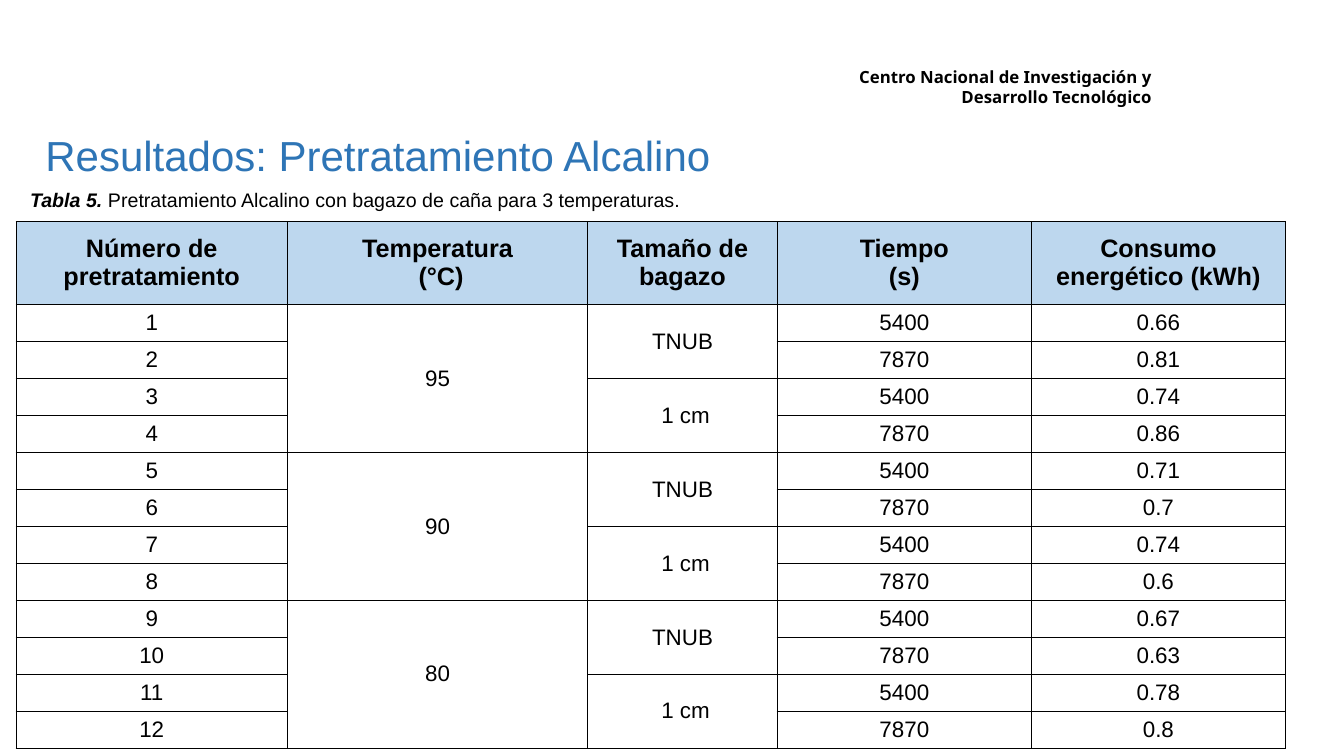
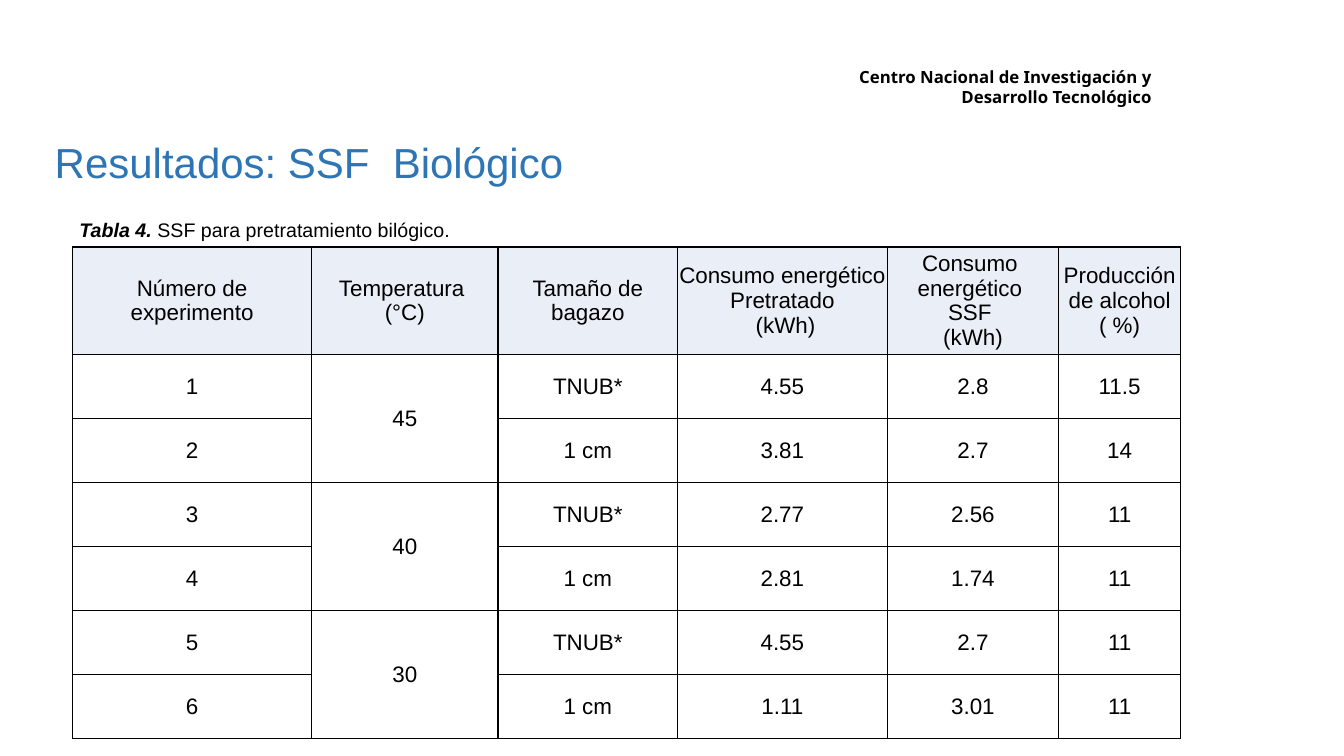
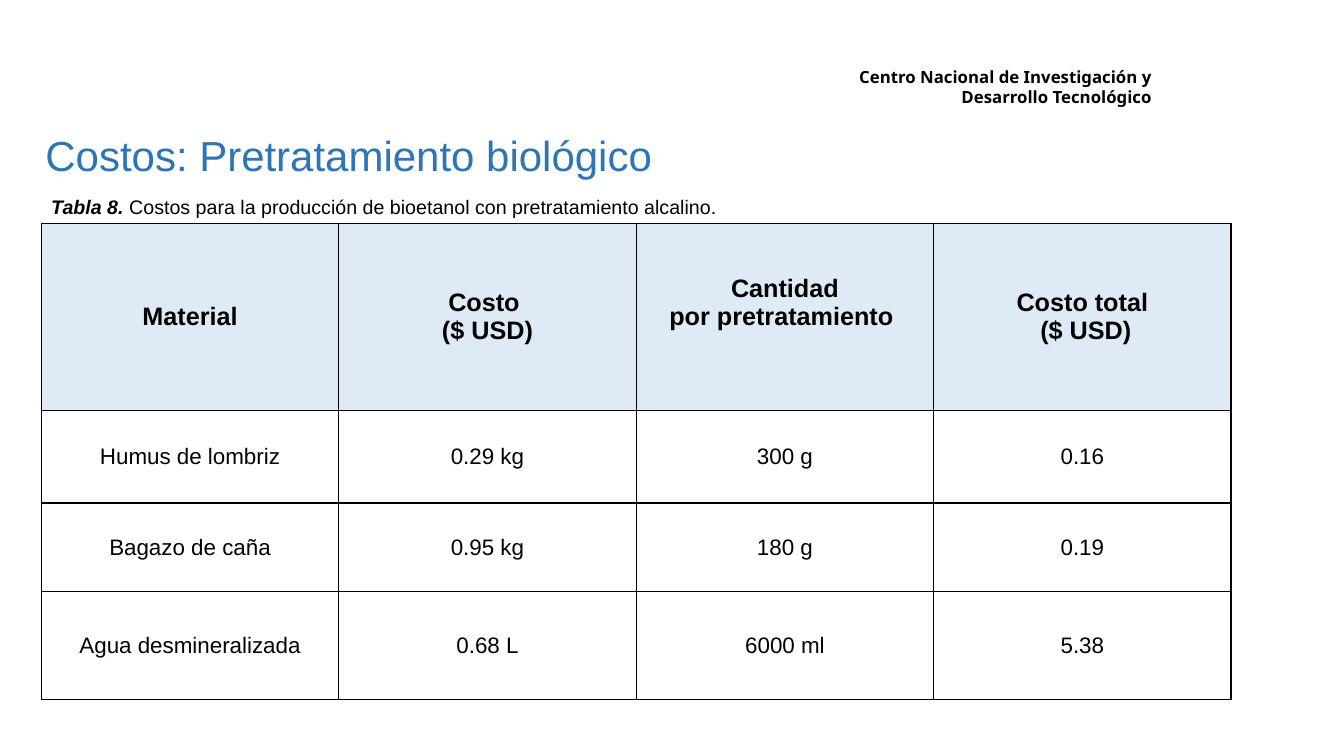
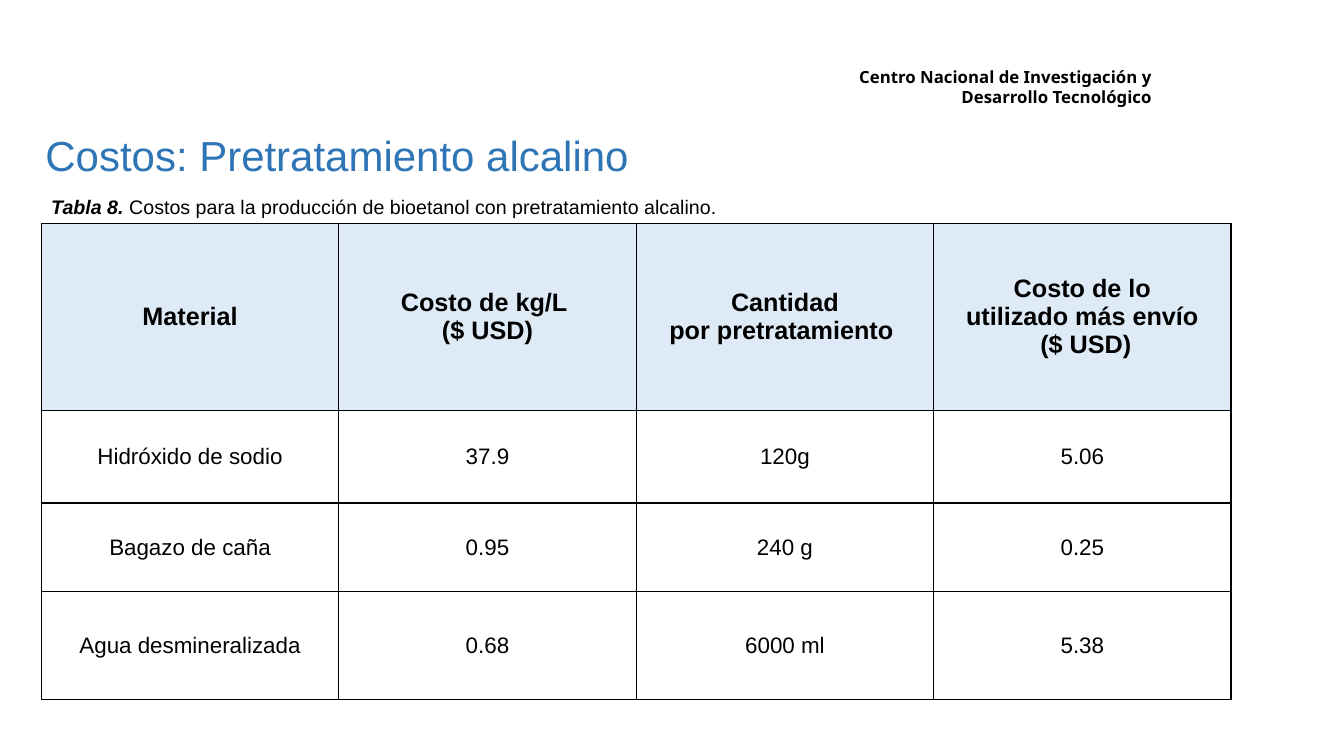
"""Builds four slides of pretreatment results and costs tables."""
from dataclasses import dataclass
from typing import Optional

import lxml.etree
import pptx
import pptx.dml.color
import pptx.enum.text
import pptx.oxml.ns
import pptx.slide
import pptx.table
import pptx.text.text
import pptx.util

Inches = pptx.util.Inches
Pt = pptx.util.Pt
RGBColor = pptx.dml.color.RGBColor
Align = pptx.enum.text.PP_ALIGN
Anchor = pptx.enum.text.MSO_ANCHOR

BLACK = RGBColor(0x00, 0x00, 0x00)
WHITE = RGBColor(0xFF, 0xFF, 0xFF)
TITLE_BLUE = RGBColor(0x2E, 0x75, 0xB6)
SKY_BLUE = RGBColor(0xBD, 0xD7, 0xEE)
MIST_BLUE = RGBColor(0xEA, 0xEF, 0xF7)
PALE_BLUE = RGBColor(0xDE, 0xEB, 0xF7)

BODY_FONT = "Arial"
INSTITUTE_FONT = "Noto Sans"
INSTITUTE = "Centro Nacional de Investigación y Desarrollo Tecnológico"
TITLE_ONLY_LAYOUT = 5
BODY_SIZE = 16


@dataclass(frozen=True)
class Box:
    left: float
    top: float
    width: float
    height: float


@dataclass(frozen=True)
class TextStyle:
    size: float
    color: RGBColor = BLACK
    font: str = BODY_FONT
    bold: bool = False
    italic: bool = False


@dataclass(frozen=True)
class TableDesign:
    box: Box
    columns: tuple[float, ...]
    rows: tuple[float, ...]
    header_fill: RGBColor
    header_style: TextStyle
    margins: tuple[float, float] = (0.1, 0.05)
    raised_header: Optional[int] = None


@dataclass(frozen=True)
class TableSlide:
    title: str
    title_box: Box
    title_align: Align
    label: str
    caption: str
    caption_box: Box
    design: TableDesign
    headers: tuple[str, ...]
    body: tuple[tuple[Optional[str], ...], ...]


TITLE_STYLE = TextStyle(30, TITLE_BLUE)
INSTITUTE_STYLE = TextStyle(12, font=INSTITUTE_FONT, bold=True)
LABEL_STYLE = TextStyle(14, bold=True, italic=True)
CAPTION_STYLE = TextStyle(14)
BODY_STYLE = TextStyle(BODY_SIZE)
BOLD_HEADER = TextStyle(18, bold=True)

INSTITUTE_BOX = Box(7.85, 0.61, 3.67, 0.5)
COST_TITLE_BOX = Box(0.35, 1.09, 10.01, 0.96)
COST_CAPTION_BOX = Box(0.41, 1.88, 7.02, 0.34)
COST_TABLE_BOX = Box(0.41, 2.22, 11.81, 4.72)
COST_COLUMNS = (2.95,) * 4
COST_ROWS = (1.85, 0.92, 0.88, 1.07)
COST_CAPTION = " Costos para la producción de bioetanol con pretratamiento alcalino."

ALKALINE_ENERGY = ("0.66", "0.81", "0.74", "0.86", "0.71", "0.7",
                   "0.74", "0.6", "0.67", "0.63", "0.78", "0.8")
ALKALINE_TEMPERATURES = ("95", "90", "80")


def alkaline_row(index: int, energy: str) -> tuple[Optional[str], ...]:
    """Return one test row, with None where a cell continues the one above."""
    temperature = None if index % 4 else ALKALINE_TEMPERATURES[index // 4]
    bagasse = ("TNUB", None, " 1 cm", None)[index % 4]
    return str(index + 1), temperature, bagasse, ("5400", "7870")[index % 2], energy


SLIDES = (
    TableSlide(
        "Resultados: Pretratamiento Alcalino ", Box(0.35, 1.09, 12.88, 0.96), Align.JUSTIFY,
        "Tabla 5.", " Pretratamiento Alcalino con bagazo de caña para 3 temperaturas.",
        Box(0.2, 1.82, 11.66, 0.34),
        TableDesign(Box(0.16, 2.2, 12.6, 5.22), (2.69, 2.98, 1.88, 2.52, 2.52),
                    (0.82,) + (4.4 / 12,) * 12, SKY_BLUE, BOLD_HEADER),
        ("Número de pretratamiento", "Temperatura\n (°C)", "Tamaño de bagazo",
         "Tiempo\n(s)", "Consumo energético (kWh)"),
        tuple(alkaline_row(index, energy) for index, energy in enumerate(ALKALINE_ENERGY)),
    ),
    TableSlide(
        "Resultados: SSF  Biológico ", Box(0.1, 1.09, 6.05, 1.1), Align.CENTER,
        "Tabla 4.", " SSF para pretratamiento bilógico.", Box(0.69, 2.11, 5.94, 0.34),
        TableDesign(Box(0.72, 2.45, 10.99, 4.8), (2.37, 1.85, 1.78, 2.08, 1.7, 1.21),
                    (0.99,) + (3.81 / 6,) * 6, MIST_BLUE, BODY_STYLE, (0, 0)),
        ("Número de experimento", "Temperatura \n(°C)", "Tamaño de bagazo",
         "Consumo energético\nPretratado\n (kWh)", "Consumo \nenergético \nSSF \n(kWh)",
         "Producción\nde alcohol\n( %)"),
        (
            ("1", "45", "TNUB*", "4.55", "2.8", "11.5"),
            ("2", None, "1 cm", "3.81", "2.7", "14"),
            ("3", "40", "TNUB*", "2.77", "2.56", "11"),
            ("4", None, "1 cm", "2.81", "1.74", "11"),
            ("5", "30", "TNUB*", "4.55", "2.7", "11"),
            ("6", None, "1 cm", "1.11", "3.01", "11"),
        ),
    ),
    TableSlide(
        "Costos: Pretratamiento biológico", COST_TITLE_BOX, Align.JUSTIFY,
        "Tabla 8.", COST_CAPTION, COST_CAPTION_BOX,
        TableDesign(COST_TABLE_BOX, COST_COLUMNS, COST_ROWS, PALE_BLUE, BOLD_HEADER,
                    raised_header=2),
        ("Material", "Costo \n($ USD)", "Cantidad\npor pretratamiento ",
         "Costo total\n ($ USD)"),
        (
            ("Humus de lombriz", "0.29 kg", "300 g", "0.16"),
            ("Bagazo de caña", "0.95 kg", "180 g", "0.19"),
            ("Agua desmineralizada", "0.68 L", "6000 ml", "5.38"),
        ),
    ),
    TableSlide(
        "Costos: Pretratamiento alcalino", COST_TITLE_BOX, Align.JUSTIFY,
        "Tabla 8.", COST_CAPTION, COST_CAPTION_BOX,
        TableDesign(COST_TABLE_BOX, COST_COLUMNS, COST_ROWS, PALE_BLUE, BOLD_HEADER),
        ("Material", "Costo de kg/L \n($ USD)", "Cantidad\npor pretratamiento ",
         "Costo de lo\nutilizado más envío\n ($ USD)"),
        (
            ("Hidróxido de sodio", "37.9", "120g", "5.06"),
            ("Bagazo de caña", "0.95", "240 g", "0.25"),
            ("Agua desmineralizada", "0.68", "6000 ml", "5.38"),
        ),
    ),
)


def lengths(box: Box) -> tuple[pptx.util.Length, ...]:
    """Return the left, top, width and height of a box as lengths."""
    return Inches(box.left), Inches(box.top), Inches(box.width), Inches(box.height)


def add_run(paragraph: pptx.text.text._Paragraph, text: str, style: TextStyle) -> None:
    """Add one formatted run to a paragraph."""
    run = paragraph.add_run()
    run.text = text
    run.font.name = style.font
    run.font.size = Pt(style.size)
    run.font.bold = style.bold
    run.font.italic = style.italic
    run.font.color.rgb = style.color


def add_title(slide: pptx.slide.Slide, content: TableSlide) -> None:
    """Move, fill and format the title placeholder."""
    title = slide.shapes.title
    title.left, title.top, title.width, title.height = lengths(content.title_box)
    frame = title.text_frame
    frame.auto_size = pptx.enum.text.MSO_AUTO_SIZE.NONE
    frame.word_wrap = True
    frame.vertical_anchor = Anchor.MIDDLE
    paragraph = frame.paragraphs[0]
    paragraph.alignment = content.title_align
    paragraph.line_spacing = 0.9
    add_run(paragraph, content.title, TITLE_STYLE)


def add_text(slide: pptx.slide.Slide, box: Box, align: Align,
             runs: tuple[tuple[str, TextStyle], ...]) -> None:
    """Add a wrapped text box holding one paragraph."""
    frame = slide.shapes.add_textbox(*lengths(box)).text_frame
    frame.word_wrap = True
    paragraph = frame.paragraphs[0]
    paragraph.alignment = align
    for text, style in runs:
        add_run(paragraph, text, style)


def add_borders(cell: pptx.table._Cell) -> None:
    """Draw a thin black line on each side of a cell."""
    properties = cell._tc.get_or_add_tcPr()
    for side in ("a:lnL", "a:lnR", "a:lnT", "a:lnB"):
        line = lxml.etree.SubElement(properties, pptx.oxml.ns.qn(side), w=str(Pt(1)))
        fill = lxml.etree.SubElement(line, pptx.oxml.ns.qn("a:solidFill"))
        lxml.etree.SubElement(fill, pptx.oxml.ns.qn("a:srgbClr"), val=str(BLACK))


def fill_cell(cell: pptx.table._Cell, text: Optional[str], style: TextStyle,
              fill: RGBColor, margins: tuple[float, float]) -> None:
    """Format a cell and write its lines as centred paragraphs."""
    add_borders(cell)
    cell.fill.solid()
    cell.fill.fore_color.rgb = fill
    cell.vertical_anchor = Anchor.MIDDLE
    cell.margin_left = cell.margin_right = Inches(margins[0])
    cell.margin_top = cell.margin_bottom = Inches(margins[1])
    if text is None:
        return
    frame = cell.text_frame
    for index, line in enumerate(text.split("\n")):
        paragraph = frame.add_paragraph() if index else frame.paragraphs[0]
        paragraph.alignment = Align.CENTER
        add_run(paragraph, line, style)


def merge_continued(table: pptx.table.Table, values: tuple[tuple[Optional[str], ...], ...]) -> None:
    """Merge each cell with the empty ones that follow below it."""
    for column, entries in enumerate(zip(*values)):
        starts = [row for row, entry in enumerate(entries) if entry is not None]
        for start, end in zip(starts, starts[1:] + [len(entries)]):
            if end - start > 1:
                table.cell(start, column).merge(table.cell(end - 1, column))


def add_data_table(slide: pptx.slide.Slide, content: TableSlide) -> None:
    """Add the table of a slide with its header and body rows."""
    design = content.design
    values = (content.headers,) + content.body
    table = slide.shapes.add_table(len(design.rows), len(design.columns),
                                   *lengths(design.box)).table
    table.first_row = False
    table.horz_banding = False
    for column, width in zip(table.columns, design.columns):
        column.width = Inches(width)
    for row, height in zip(table.rows, design.rows):
        row.height = Inches(height)
    for row_index, entries in enumerate(values):
        style = BODY_STYLE if row_index else design.header_style
        fill = WHITE if row_index else design.header_fill
        for column_index, text in enumerate(entries):
            fill_cell(table.cell(row_index, column_index), text, style, fill, design.margins)
    if design.raised_header is not None:
        table.cell(0, design.raised_header).margin_bottom = Inches(0.33)
    merge_continued(table, values)


def add_table_slide(presentation: pptx.presentation.Presentation, content: TableSlide) -> None:
    """Add one slide with title, institute, caption and table."""
    slide = presentation.slides.add_slide(presentation.slide_layouts[TITLE_ONLY_LAYOUT])
    add_title(slide, content)
    add_text(slide, INSTITUTE_BOX, Align.RIGHT, ((INSTITUTE, INSTITUTE_STYLE),))
    add_text(slide, content.caption_box, Align.LEFT,
             ((content.label, LABEL_STYLE), (content.caption, CAPTION_STYLE)))
    add_data_table(slide, content)


def main() -> None:
    """Build and save the presentation."""
    presentation = pptx.Presentation()
    presentation.slide_width = Inches(13.33)
    presentation.slide_height = Inches(7.5)
    for content in SLIDES:
        add_table_slide(presentation, content)
    presentation.save("out.pptx")


if __name__ == "__main__":
    main()
